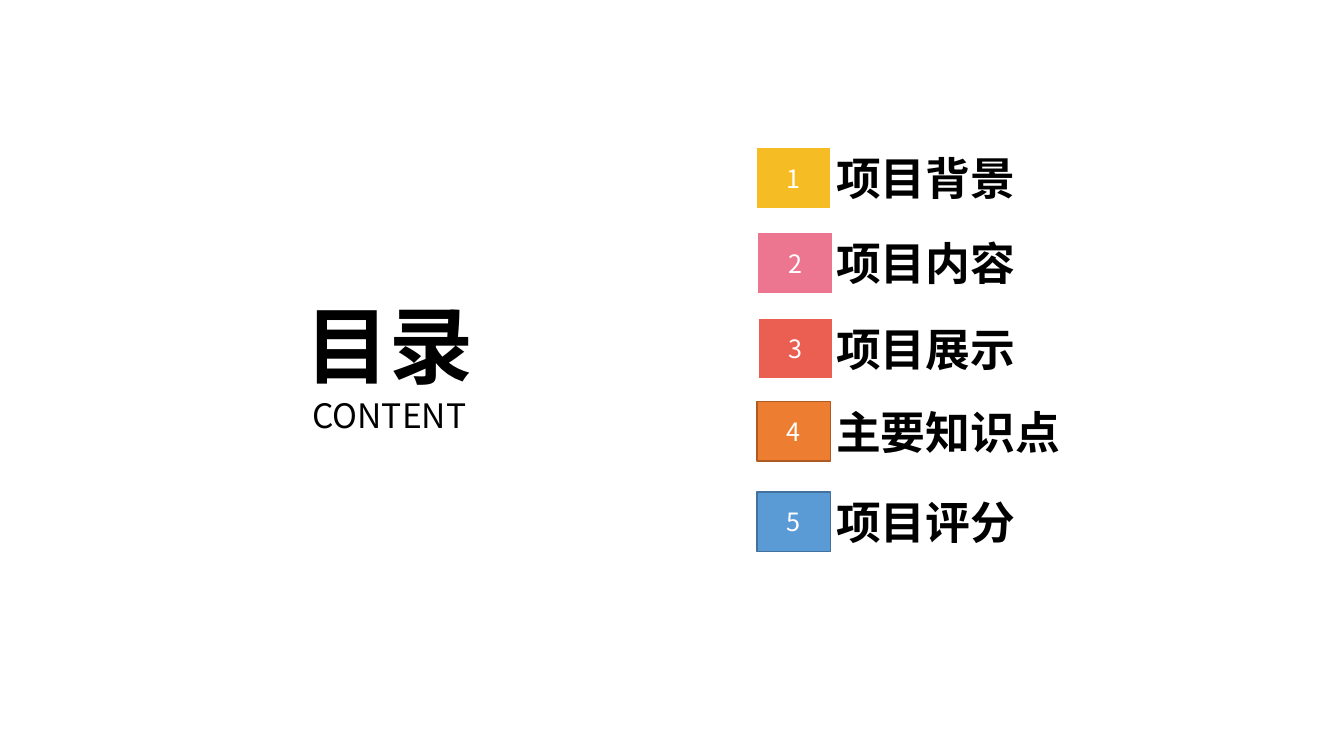
"""Build a contents slide with a round title and five numbered topics."""
from lxml import etree
from pptx import Presentation
from pptx.dml.color import RGBColor
from pptx.enum.shapes import MSO_SHAPE
from pptx.enum.text import MSO_ANCHOR, PP_ALIGN
from pptx.oxml.ns import qn
from pptx.util import Pt

OVAL = MSO_SHAPE.OVAL
SLANT = MSO_SHAPE.PARALLELOGRAM
MIDDLE = MSO_ANCHOR.MIDDLE
LEFT, CENTER = PP_ALIGN.LEFT, PP_ALIGN.CENTER
FONT = "Noto Sans CJK SC"
COLORS = {
    "white": "FFFFFF", "black": "000000", "yellow": "F5BD23",
    "pink": "EC7690", "red": "EB5F52", "orange": "ED7D31",
    "rust": "AE5A21", "blue": "5B9BD5", "navy": "41719C",
}


def paint(shape, fill, line=None):
    shape.shadow.inherit = False
    shape.fill.solid()
    shape.fill.fore_color.rgb = RGBColor.from_string(COLORS[fill])
    if line:
        shape.line.color.rgb = RGBColor.from_string(COLORS[line])
        shape.line.width = Pt(1)
    else:
        shape.line.fill.background()


def write(para, text, size, color="black", bold=False, align=LEFT):
    para.alignment = align
    run = para.add_run()
    run.text = text
    font = run.font
    font.size, font.bold, font.name = Pt(size), bold, FONT
    font.color.rgb = RGBColor.from_string(COLORS[color])
    asian = etree.SubElement(run._r.get_or_add_rPr(), qn("a:ea"))
    asian.set("typeface", FONT)


deck = Presentation()
deck.slide_width, deck.slide_height = Pt(960.5), Pt(540)
slide = deck.slides.add_slide(deck.slide_layouts[6])
shapes = slide.shapes

disc = shapes.add_shape(OVAL, Pt(180.7), Pt(162.7), Pt(195), Pt(195))
paint(disc, "white")
tint = disc.fill._xPr.find(qn("a:solidFill"))[0]
etree.SubElement(tint, qn("a:alpha")).set("val", "78000")
frame = disc.text_frame
frame.vertical_anchor = MIDDLE
write(frame.paragraphs[0], "目录", 60, bold=True, align=CENTER)
write(frame.add_paragraph(), "CONTENT", 24, align=CENTER)

TOPICS = [
    ("项目背景", 540.9, 105.9, "yellow", None),
    ("项目内容", 542, 166.6, "pink", None),
    ("项目展示", 542.2, 227.5, "red", None),
    ("主要知识点", 540.9, 286.8, "orange", "rust"),
    ("项目评分", 540.9, 351.4, "blue", "navy"),
]
BOX_H, LABEL_H = 42.5, 54.7

for num, (name, left, top, fill, line) in enumerate(TOPICS, 1):
    box = shapes.add_shape(SLANT, Pt(left), Pt(top), Pt(52.6), Pt(BOX_H))
    box.adjustments[0] = 0
    paint(box, fill, line)
    box.text_frame.vertical_anchor = MIDDLE
    write(box.text_frame.paragraphs[0], str(num), 18, "white", align=CENTER)

    rise = (LABEL_H - BOX_H) / 2
    label = shapes.add_textbox(Pt(594), Pt(top - rise), Pt(257), Pt(LABEL_H))
    frame = label.text_frame
    frame.word_wrap = True
    frame.vertical_anchor = MIDDLE
    frame.margin_left = frame.margin_right = Pt(3.6)
    write(frame.paragraphs[0], name, 32, bold=True)

deck.save("out.pptx")
